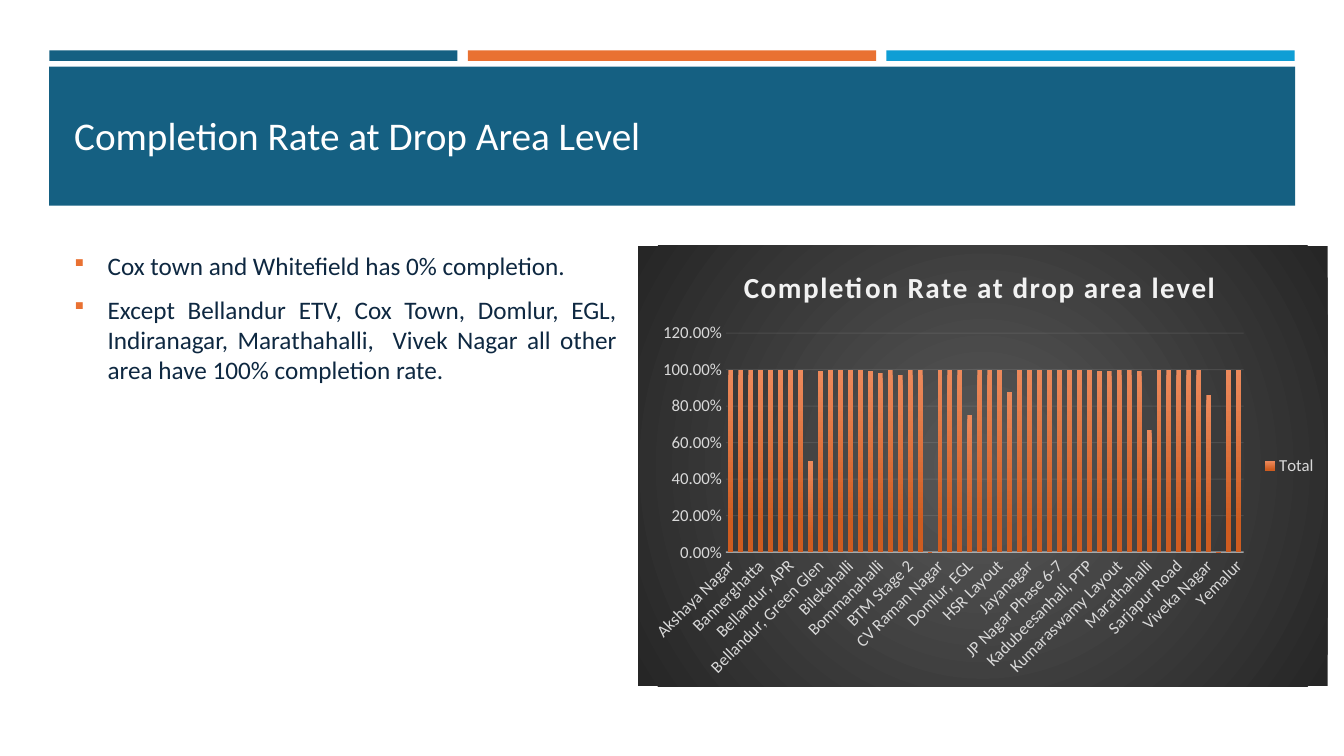
from lxml import etree
from pptx import Presentation
from pptx.chart.data import CategoryChartData
from pptx.dml.color import RGBColor
from pptx.enum.chart import XL_CHART_TYPE, XL_LEGEND_POSITION, XL_TICK_MARK
from pptx.enum.shapes import MSO_SHAPE
from pptx.enum.text import MSO_ANCHOR, PP_ALIGN
from pptx.oxml import parse_xml
from pptx.oxml.ns import nsdecls, qn
from pptx.util import Pt

COLUMNS = XL_CHART_TYPE.COLUMN_CLUSTERED
LEGEND_RIGHT = XL_LEGEND_POSITION.RIGHT
NO_TICK = XL_TICK_MARK.NONE
RECTANGLE = MSO_SHAPE.RECTANGLE
MIDDLE = MSO_ANCHOR.MIDDLE
TOP = MSO_ANCHOR.TOP
LEFT = PP_ALIGN.LEFT
JUSTIFY = PP_ALIGN.JUSTIFY

COLORS = {
    "teal": "156082", "orange": "E97132", "blue": "0F9ED5", "white": "FFFFFF",
    "navy": "0E2841", "label": "D9D9D9", "pale": "F2F2F2",
    "bar_top": "ED8A5C", "bar_foot": "CE5C20", "glow": "595959", "edge": "262626",
}
FINDINGS = [
    "Cox town and Whitefield has 0% completion.",
    "Except Bellandur ETV, Cox Town, Domlur, EGL, Indiranagar, Marathahalli,  "
    "Vivek Nagar all other area have 100% completion rate.",
]
AREAS = [
    "Akshaya Nagar", "Arekere", "Banashankari Stage 2", "Bannerghatta", "Basavanagudi",
    "Bellandur - Off Sarjapur Road", "Bellandur, APR", "Bellandur, Ecospace",
    "Bellandur, ETV", "Bellandur, Green Glen", "Bellandur, Sakara",
    "Bellandur, Sarjapur Road", "Bilekahalli", "Binnipet", "Bomannahali - MicoLayout",
    "Bommanahalli", "Brookefield", "BTM Stage 1", "BTM Stage 2", "Challagatta",
    "Cox Town", "CV Raman Nagar", "Devarachikanna Halli", "Doddanekundi", "Domlur, EGL",
    "Frazer Town", "Harlur", "HSR Layout", "Indiranagar", "ITI Layout", "Jayanagar",
    "JP Nagar Phase 1-3", "JP Nagar Phase 4-5", "JP Nagar Phase 6-7",
    "JP Nagar Phase 8-9", "Kadubeesanhali, Premiere", "Kadubeesanhali, PTP",
    "Koramangala, Ejipura", "Kudlu", "Kumaraswamy Layout", "Mahadevapura",
    "Meadow County", "Marathahalli", "Pattandur", "Richmond Town", "Sarjapur Road",
    "Victoria Layout", "Vimanapura", "Viveka Nagar", "Whitefield",
    "Wilson Garden, Shantinagar", "Yemalur",
]
BELOW_FULL = {
    "Bellandur, ETV": 0.5, "Bellandur, Green Glen": 0.99,
    "Bomannahali - MicoLayout": 0.99, "Bommanahalli": 0.98, "BTM Stage 1": 0.97,
    "Cox Town": 0, "Domlur, EGL": 0.75, "Indiranagar": 0.88,
    "Koramangala, Ejipura": 0.99, "Kudlu": 0.99, "Meadow County": 0.99,
    "Marathahalli": 0.67, "Viveka Nagar": 0.86, "Whitefield": 0,
}
CHART_WIDTH, CHART_HEIGHT = 492.5, 314.6


class SlideBuilder:
    """Hold the deck style and the slide being filled."""

    def __init__(self, slide, font="Calibri"):
        self.slide = slide
        self.font = font

    def style(self, font, size, color, bold=False):
        font.name, font.size, font.bold = self.font, Pt(size), bold
        font.color.rgb = RGBColor.from_string(COLORS[color])

    def band(self, left, top, width, height, color):
        band = self.slide.shapes.add_shape(
            RECTANGLE, Pt(left), Pt(top), Pt(width), Pt(height))
        band.shadow.inherit = False
        band.fill.solid()
        band.fill.fore_color.rgb = RGBColor.from_string(COLORS[color])
        band.line.fill.background()

    def title(self, left, top, width, height, text):
        title = self.slide.shapes.title
        title.left, title.top, title.width, title.height = map(
            Pt, (left, top, width, height))
        self.slide.shapes._spTree.append(title._element)
        title.text_frame.vertical_anchor = MIDDLE
        paragraph = title.text_frame.paragraphs[0]
        paragraph.alignment = LEFT
        run = paragraph.add_run()
        run.text = text
        self.style(run.font, 28, "white")

    def bullets(self, left, top, width, height, findings):
        frame = self.slide.shapes.add_textbox(
            Pt(left), Pt(top), Pt(width), Pt(height)).text_frame
        frame.word_wrap = True
        frame.vertical_anchor = TOP
        for index, finding in enumerate(findings):
            paragraph = frame.add_paragraph() if index else frame.paragraphs[0]
            paragraph.alignment = JUSTIFY
            paragraph.space_before, paragraph.space_after = Pt(3.6), Pt(6)
            run = paragraph.add_run()
            run.text = finding
            self.style(run.font, 18, "navy")
            properties = paragraph._p.get_or_add_pPr()
            properties.set("marL", str(Pt(24)))
            properties.set("indent", str(-Pt(24)))
            color = etree.SubElement(properties, qn("a:buClr"))
            etree.SubElement(color, qn("a:srgbClr"), val=COLORS["orange"])
            etree.SubElement(properties, qn("a:buSzPct"), val="92000")
            etree.SubElement(
                properties, qn("a:buFont"), typeface="Wingdings", charset="2")
            etree.SubElement(properties, qn("a:buChar"), char="§")

    def rule(self, line, owner, width, opacity):
        line.width = Pt(width)
        line.color.rgb = RGBColor.from_string(COLORS["pale"])
        for color in owner.xpath(".//a:ln//a:srgbClr"):
            etree.SubElement(color, qn("a:alpha"), val=str(opacity * 1000))

    def place(self, element, left, top, size=None):
        for old in element.findall(qn("c:layout")):
            element.remove(old)
        layout = etree.Element(qn("c:layout"))
        manual = etree.SubElement(layout, qn("c:manualLayout"))
        values = {"xMode": "edge", "yMode": "edge",
                  "x": left / CHART_WIDTH, "y": top / CHART_HEIGHT}
        if size:
            width, height = size
            values = {"layoutTarget": "inner", **values,
                      "w": width / CHART_WIDTH, "h": height / CHART_HEIGHT}
        for tag, value in values.items():
            etree.SubElement(manual, qn(f"c:{tag}"), val=str(value))
        return layout

    def chart(self, left, top, heading, series_name, rates):
        data = CategoryChartData(number_format="0.00%")
        data.categories = list(rates)
        data.add_series(series_name, rates.values())
        chart = self.slide.shapes.add_chart(
            COLUMNS, Pt(left), Pt(top), Pt(CHART_WIDTH), Pt(CHART_HEIGHT), data).chart
        self.style(chart.font, 12, "label")
        self.backdrop(chart)
        self.heading(chart, heading)
        self.axes(chart)
        chart.has_legend = True
        chart.legend.position = LEGEND_RIGHT
        chart.legend.include_in_layout = False
        self.style(chart.legend.font, 12, "label")
        plot = chart.plots[0]
        plot.gap_width, plot.overlap, plot.vary_by_categories = 100, -24, False
        fill = plot.series[0].format.fill
        fill.gradient()
        fill.gradient_angle = 270
        for stop, position, color in zip(
                fill.gradient_stops, (0, 0.84), ("bar_top", "bar_foot")):
            stop.position = position
            stop.color.rgb = RGBColor.from_string(COLORS[color])
        area = chart._chartSpace.chart.plotArea
        area.insert(0, self.place(area, 62.7, 62.3, (369.9, 156.5)))

    def backdrop(self, chart):
        chart._chartSpace.chart.addnext(parse_xml(
            f'<c:spPr {nsdecls("c", "a")}><a:gradFill><a:gsLst>'
            f'<a:gs pos="0"><a:srgbClr val="{COLORS["glow"]}"/></a:gs>'
            f'<a:gs pos="100000"><a:srgbClr val="{COLORS["edge"]}"/></a:gs></a:gsLst>'
            '<a:path path="circle"><a:fillToRect l="50000" t="50000" r="50000" b="50000"/>'
            '</a:path></a:gradFill><a:ln><a:noFill/></a:ln></c:spPr>'))

    def heading(self, chart, text):
        chart.has_title = True
        run = chart.chart_title.text_frame.paragraphs[0].add_run()
        run.text = text
        self.style(run.font, 20.8, "pale", bold=True)
        run.font._element.set("spc", "100")
        title = chart.chart_title._element
        title.find(qn("c:tx")).addnext(self.place(title, 71.7, 11.2))

    def axes(self, chart):
        areas, rates = chart.category_axis, chart.value_axis
        for axis in (areas, rates):
            axis.major_tick_mark = axis.minor_tick_mark = NO_TICK
            self.style(axis.tick_labels.font, 12, "label")
        areas._element.txPr.bodyPr.set("rot", "-2700000")
        self.rule(areas.format.line, areas._element, 1, 54)
        rates.minimum_scale, rates.maximum_scale, rates.major_unit = 0, 1.2, 0.2
        rates.tick_labels.number_format = "0.00%"
        rates.tick_labels.number_format_is_linked = False
        self.rule(rates.major_gridlines.format.line, rates._element, 0.75, 10)
        rates.format.line.fill.background()


def main():
    deck = Presentation()
    deck.slide_width, deck.slide_height = Pt(960), Pt(540)
    builder = SlideBuilder(deck.slides.add_slide(deck.slide_layouts[5]))
    for index, color in enumerate(("teal", "orange", "blue")):
        builder.band(35.2 + index * 299, 36, 291.6, 7.5, color)
    builder.band(35.2, 47.5, 889.9, 99.4, "teal")
    builder.title(45.8, 57.6, 868.3, 77.8, "Completion Rate at Drop Area Level")
    builder.bullets(45.8, 175.4, 401.8, 285.8, FINDINGS)
    rates = {area: BELOW_FULL.get(area, 1) for area in AREAS}
    builder.chart(455.8, 175.7, "Completion Rate at drop area level", "Total", rates)
    deck.save("out.pptx")


if __name__ == "__main__":
    main()
